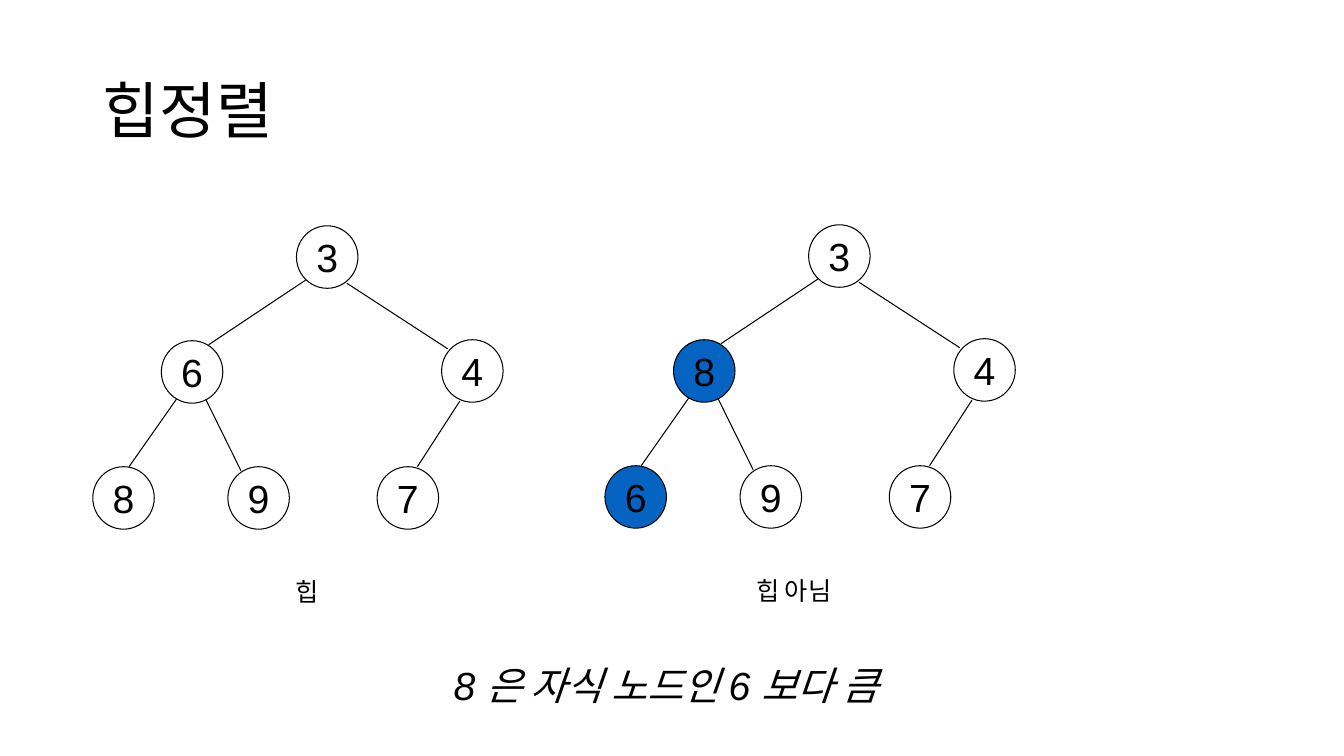
import pptx
import pptx.util
import pptx.dml.color
import pptx.enum.shapes
import pptx.enum.text
import pptx.oxml

Inches, Pt = pptx.util.Inches, pptx.util.Pt
RGB = pptx.dml.color.RGBColor.from_string
MSO = pptx.enum.shapes
MIDDLE = pptx.enum.text.MSO_ANCHOR.MIDDLE
CENTER = pptx.enum.text.PP_ALIGN.CENTER

COLORS = {"ink": "000000", "violation": "0563C1"}
NODE_W, NODE_H = 0.61, 0.62

prs = pptx.Presentation()
prs.slide_width, prs.slide_height = Inches(13.33), Inches(7.5)
s = prs.slides.add_slide(prs.slide_layouts[6])


def write(sp, text, size, font="Arial"):
    tf = sp.text_frame
    tf.word_wrap = True
    p = tf.paragraphs[0]
    p.text = text
    p.font.size = Pt(size)
    p.font.name = font
    p.font.color.rgb = RGB(COLORS["ink"])
    return p


title = s.shapes.add_textbox(Inches(0.92), Inches(0.4), Inches(11.5), Inches(1.45))
title.text_frame.vertical_anchor = MIDDLE
write(title, "힙정렬", 44, "Noto Sans CJK KR").line_spacing = 0.9

# Both trees share one layout: node corners, then edge ends
nodes = [(2.94, 2.24), (1.6, 3.38), (4.38, 3.37), (0.92, 4.63), (2.26, 4.63), (3.74, 4.63)]
edges = [
    (3.03, 2.78, 2.07, 3.42),
    (3.44, 2.81, 4.44, 3.46),
    (1.75, 3.96, 1.28, 4.63),
    (2.04, 3.96, 2.39, 4.67),
    (4.56, 3.98, 4.14, 4.63),
]
# Shift right, shift down, node values, values that break the heap rule
trees = [(0, 0, "364897", ""), (5.08, -0.01, "384697", "86")]

for dx, dy, values, broken in trees:
    for (x, y), value in zip(nodes, values):
        sp = s.shapes.add_shape(MSO.MSO_SHAPE.OVAL, Inches(x + dx), Inches(y + dy),
                                Inches(NODE_W), Inches(NODE_H))
        sp.shadow.inherit = False
        sp.line.color.rgb = RGB(COLORS["ink"])
        sp.line.width = Pt(0.75)
        if value in broken:
            sp.fill.solid()
            sp.fill.fore_color.rgb = RGB(COLORS["violation"])
        else:
            sp.fill.background()
        tf = sp.text_frame
        tf.margin_left = tf.margin_right = tf.margin_top = tf.margin_bottom = 0
        tf.vertical_anchor = MIDDLE
        write(sp, value, 28).alignment = CENTER

    for x1, y1, x2, y2 in edges:
        edge = s.shapes.add_connector(MSO.MSO_CONNECTOR.STRAIGHT,
                                      Inches(x1 + dx), Inches(y1 + dy),
                                      Inches(x2 + dx), Inches(y2 + dy))
        edge.line.color.rgb = RGB(COLORS["ink"])
        edge.line.width = Pt(0.75)
        edge._element.spPr.append(pptx.oxml.parse_xml(
            '<a:effectLst xmlns:a="http://schemas.openxmlformats.org/drawingml/2006/main"/>'))

captions = [
    (2.83, 5.67, 0.59, "힙", 18, False),
    (7.4, 5.66, 1.48, "힙 아님", 18, False),
    (4.4, 6.51, 4.96, "8 은 자식 노드인 6 보다 큼", 28, True),
]
for x, y, w, text, size, italic in captions:
    box = s.shapes.add_textbox(Inches(x), Inches(y), Inches(w), Inches(0.57))
    p = write(box, text, size)
    if italic:
        p.font.italic = True

prs.save("out.pptx")
